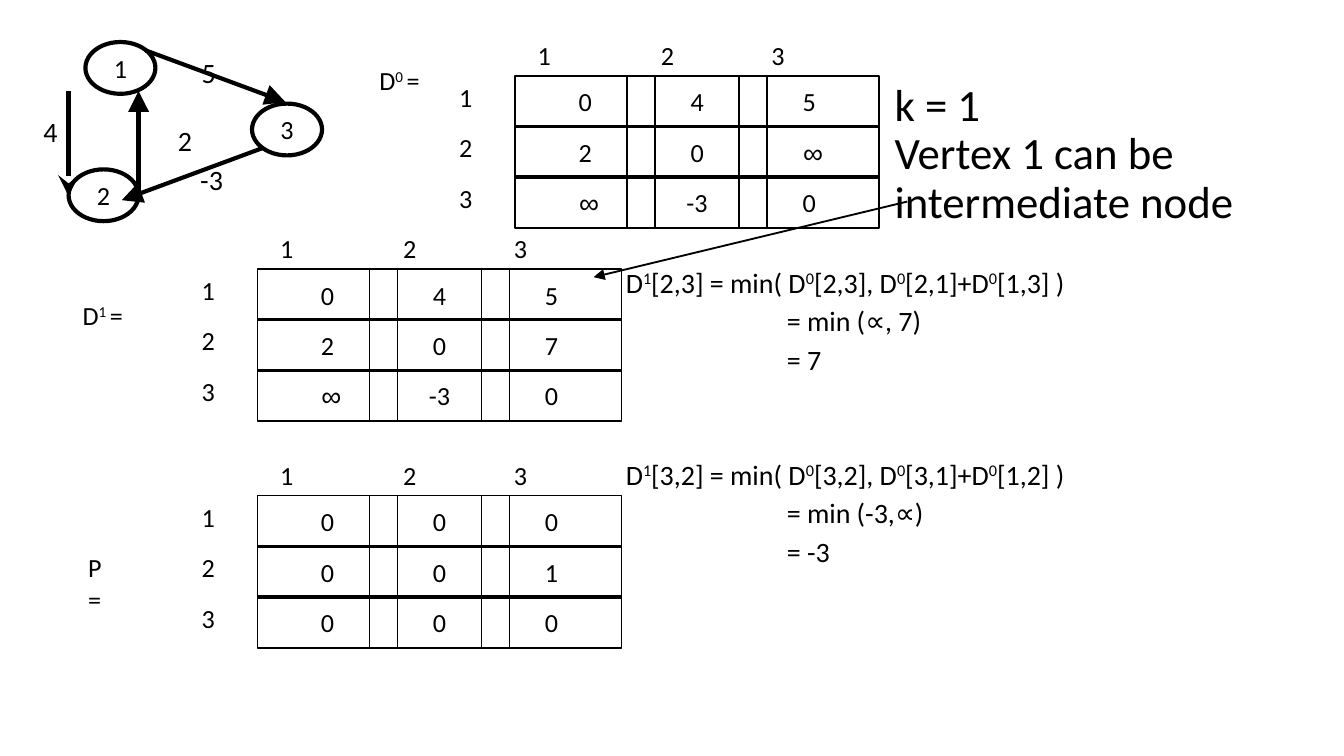
from lxml.etree import SubElement
from pptx import Presentation
from pptx.dml.color import RGBColor
from pptx.enum.shapes import MSO_CONNECTOR as CONNECTOR, MSO_SHAPE as SHAPE
from pptx.enum.text import MSO_ANCHOR as ANCHOR, PP_ALIGN as ALIGN
from pptx.oxml.ns import qn
from pptx.util import Pt

PX = 9525
INK = "000000"
INFINITY = " ∞"

MATRICES = [
    {"origin": (184, 192), "name": "D^1 ^=", "name_box": (52, 210, 48, 30),
     "rows": [("0", "4", "5"), ("2", "0", "7"), (INFINITY, "-3", "0")]},
    {"origin": (184, 354), "name": "P =", "name_box": (56, 390, 37, 53),
     "rows": [("0", "0", "0"), ("0", "0", "1"), ("0", "0", "0")]},
    {"origin": (368, 54), "name": "D^0 ^=", "name_box": (264, 42, 44, 30),
     "rows": [("0", "4", "5"), ("2", "0", INFINITY), (INFINITY, "-3", "0")]},
]
CELL = (100, 37)
PITCH = (80, 36)
COLUMN_LABEL_X = (16, 104, 183)

NODES = [("1", 61, 30), ("2", 49, 121), ("3", 180, 74)]
EDGES = [
    ((104, 36), (204, 73), "triangle"),
    ((187, 106), (87, 143), "triangle"),
    ((49, 65), (49, 140), "stealth"),
    ((99, 140), (99, 65), "triangle"),
]
WEIGHTS = [("5", 144, 36), ("-3", 143, 112), ("2", 127, 84), ("4", 31, 78)]

TITLE = "k = 1\vVertex 1 can be intermediate node"
HEADING_INDENT = (18, -18)
STEP_INDENT = (115, 0)
WORKINGS = [
    ("D^1^[2,3] = min( D^0^[2,3], D^0^[2,1]+D^0^[1,3] )", HEADING_INDENT, 0),
    ("= min (∝, 7)", STEP_INDENT, 8),
    ("= 7", STEP_INDENT, 8),
    ("D^1^[3,2] = min( D^0^[3,2], D^0^[3,1]+D^0^[1,2] )", HEADING_INDENT, 49),
    ("= min (-3,∝)", STEP_INDENT, 8),
    ("= -3", STEP_INDENT, 8),
]


def px(*lengths):
    return [round(length * PX) for length in lengths]


def color(value):
    return RGBColor.from_string(value)


def write(paragraph, text, size=14, font="Calibri", align=ALIGN.LEFT,
          spacing=1.0, before=0, indent=(0, 0)):
    paragraph.alignment = align
    paragraph.line_spacing = spacing
    paragraph.space_before = Pt(before)
    properties = paragraph._p.get_or_add_pPr()
    for name, length in zip(("marL", "indent"), px(*indent)):
        properties.set(name, str(length))
    for line_number, line in enumerate(text.split("\v")):
        if line_number:
            paragraph.add_line_break()
        for part_number, part in enumerate(line.split("^")):
            run = paragraph.add_run()
            run.text = part
            run.font.size = Pt(size)
            run.font.name = font
            run.font.color.rgb = color(INK)
            if part_number % 2:
                run.font._element.set("baseline", "30000")


def set_frame(shape, anchor=ANCHOR.TOP, side=7):
    frame = shape.text_frame
    frame.word_wrap = True
    frame.vertical_anchor = anchor
    frame.margin_left, frame.margin_right = px(side, side)
    frame.margin_top, frame.margin_bottom = px(4, 4)
    return frame


def add_text(shapes, text, box, anchor=ANCHOR.TOP, side=7, **style):
    frame = set_frame(shapes.add_textbox(*px(*box)), anchor, side)
    write(frame.paragraphs[0], text, **style)


def add_label(shapes, text, x, y, size=14):
    add_text(shapes, text, (x, y, 24, 30), side=0, size=size)


def add_outline(shapes, kind, text, box, width):
    shape = shapes.add_shape(kind, *px(*box))
    shape.shadow.inherit = False
    shape.fill.background()
    shape.line.color.rgb = color(INK)
    shape.line.width = Pt(width)
    style = {"size": 15, "font": "Arial"} if text == INFINITY else {}
    frame = set_frame(shape, ANCHOR.MIDDLE)
    write(frame.paragraphs[0], text, align=ALIGN.CENTER, **style)


def add_arrow(shapes, start, end, head, width, head_size="med"):
    arrow = shapes.add_connector(CONNECTOR.STRAIGHT, *px(*start, *end))
    arrow.line.color.rgb = color(INK)
    arrow.line.width = Pt(width)
    SubElement(arrow.line._get_or_add_ln(), qn("a:tailEnd"),
               type=head, w=head_size, len=head_size)
    SubElement(arrow._element.spPr, qn("a:effectLst"))


def add_matrix(slide, matrix):
    shapes = slide.shapes.add_group_shape().shapes
    left, top = matrix["origin"]
    for row, values in enumerate(matrix["rows"]):
        y = top + row * PITCH[1]
        for column, value in enumerate(values):
            box = (left + column * PITCH[0], y, *CELL)
            add_outline(shapes, SHAPE.RECTANGLE, value, box, 1)
        add_label(shapes, str(row + 1), left - 40, y)
    for column, offset in enumerate(COLUMN_LABEL_X, 1):
        add_label(shapes, str(column), left + offset, top - 30)
    add_text(slide.shapes, matrix["name"], matrix["name_box"])


def add_graph(slide):
    shapes = slide.shapes.add_group_shape().shapes
    for name, x, y in NODES:
        add_outline(shapes, SHAPE.OVAL, name, (x, y, 50, 37), 2.25)
    for start, end, head in EDGES:
        add_arrow(shapes, start, end, head, 2.25, head_size="lg")
    for weight, x, y in WEIGHTS:
        add_label(shapes, weight, x, y, size=15)


def add_workings(slide):
    frame = set_frame(slide.shapes.add_textbox(*px(440, 192, 480, 288)))
    for number, (text, indent, before) in enumerate(WORKINGS):
        paragraph = frame.add_paragraph() if number else frame.paragraphs[0]
        write(paragraph, text, size=15, spacing=0.7, before=before, indent=indent)


def main():
    presentation = Presentation()
    presentation.slide_width, presentation.slide_height = px(960, 540)
    slide = presentation.slides.add_slide(presentation.slide_layouts[6])
    add_graph(slide)
    for matrix in MATRICES:
        add_matrix(slide, matrix)
    add_text(slide.shapes, TITLE, (632, 48, 280, 126), anchor=ANCHOR.MIDDLE,
             size=24, spacing=0.9)
    add_workings(slide)
    add_arrow(slide.shapes, (648, 144), (424, 198), "triangle", 1)
    presentation.save("out.pptx")


if __name__ == "__main__":
    main()
